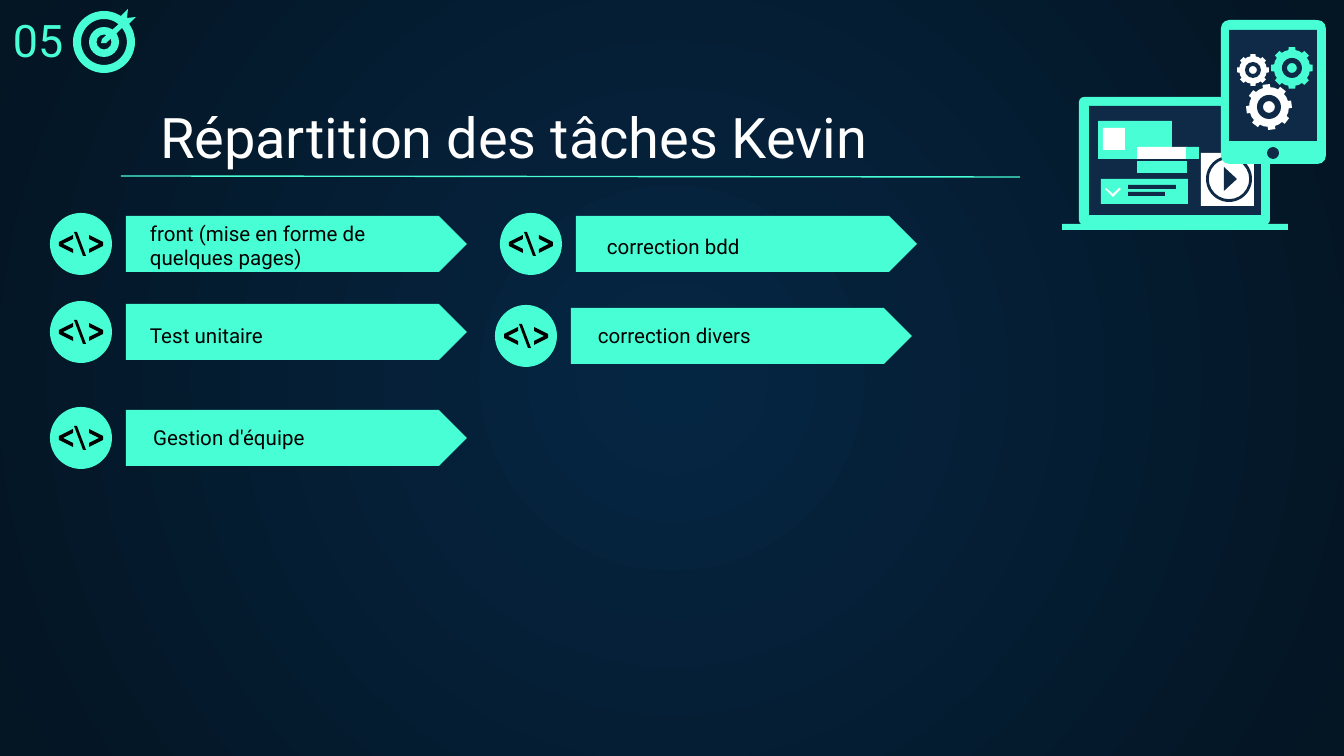
from math import cos, radians, sin

from lxml import etree
from pptx import Presentation
from pptx.dml.color import RGBColor
from pptx.enum.shapes import MSO_CONNECTOR, MSO_SHAPE
from pptx.enum.text import MSO_ANCHOR, MSO_AUTO_SIZE, PP_ALIGN
from pptx.oxml.ns import qn
from pptx.util import Pt

PX = 9144000 / 1344
RECTANGLE, ROUNDED = MSO_SHAPE.RECTANGLE, MSO_SHAPE.ROUNDED_RECTANGLE
ELLIPSE, DONUT, PENTAGON = MSO_SHAPE.OVAL, MSO_SHAPE.DONUT, MSO_SHAPE.PENTAGON
STRAIGHT = MSO_CONNECTOR.STRAIGHT
TOP, BOTTOM = MSO_ANCHOR.TOP, MSO_ANCHOR.BOTTOM
LEFT, NO_FIT = PP_ALIGN.LEFT, MSO_AUTO_SIZE.NONE

COLOURS = {
    "mint": "48FFD5",
    "navy": "0E2A47",
    "white": "FFFFFF",
    "black": "000000",
    "glow": "052643",
    "night": "041523",
}

TASKS = [
    ((126, 216), (137, 227, 305, 56), "front (mise en forme de quelques pages)"),
    ((126, 304), (137, 305, 305, 56), "Test unitaire"),
    ((126, 410), (140, 407, 370, 56), "Gestion d'équipe"),
    ((576, 216), (594, 216, 305, 56), "correction bdd"),
    ((571, 308), (585, 305, 305, 56), "correction divers"),
]

LAPTOP = [
    (ROUNDED, (17, 77, 191, 128), "mint", 0.04),
    (RECTANGLE, (27, 86, 172, 109), "navy", None),
    (RECTANGLE, (0, 204, 226, 6), "mint", None),
    (RECTANGLE, (36, 101, 74, 38), "mint", None),
    (RECTANGLE, (41, 108, 22, 22), "white", None),
    (RECTANGLE, (39, 159, 87, 25), "mint", None),
    (RECTANGLE, (66, 165, 48, 4), "navy", None),
    (RECTANGLE, (66, 172, 37, 4), "navy", None),
    (RECTANGLE, (75, 141, 50, 12), "mint", None),
    (RECTANGLE, (75, 127, 50, 12), "white", None),
    (RECTANGLE, (124, 127, 13, 12), "mint", None),
    (RECTANGLE, (139, 133, 53, 53), "white", None),
    (DONUT, (144, 136, 46, 46), "navy", 0.06),
]
TABLET = [
    (ROUNDED, (159, 0, 105, 144), "mint", 0.08),
    (RECTANGLE, (167, 10, 88, 111), "navy", None),
    (ELLIPSE, (205, 127, 12, 12), "navy", None),
]
GEARS = [(230, 48, 21, "mint", 0), (191, 50, 16, "white", 0), (207, 87, 23, "white", -7)]
TICK = [(43, 169), (44, 168), (51, 174), (57, 168), (59, 169), (51, 177)]
PLAY = [(162, 147), (175, 159), (162, 171)]
DART = [(55, 0), (48, 7), (47, 14), (39, 21), (29, 30), (28, 34), (33, 34),
        (43, 25), (49, 19), (56, 15), (63, 8), (54, 9)]
CHEVRON = [(-8, 9), (-22, 2), (-22, -2), (-8, -9), (-8, -5), (-18, 0), (-8, 5)]
SLASH = [(2, 12), (-7, -12), (-4, -12), (5, 12)]


def colour(name):
    """Return the named palette colour."""
    return RGBColor.from_string(COLOURS[name])


def emu(*lengths):
    """Convert px lengths to EMU."""
    return [round(length * PX) for length in lengths]


def paint(shape, fill):
    """Give a shape a flat fill with no line or shadow."""
    shape.shadow.inherit = False
    shape.fill.solid()
    shape.fill.fore_color.rgb = colour(fill)
    shape.line.fill.background()


def add_preset(page, kind, box, fill, adjustment=None):
    """Add a flat preset shape in a px box."""
    shape = page.shapes.add_shape(kind, *emu(*box))
    if adjustment is not None:
        shape.adjustments[0] = adjustment
    paint(shape, fill)


def add_outline(page, origin, points, fill):
    """Add a closed polygon whose points are relative to an origin."""
    left, top = origin
    corners = [emu(left + x, top + y) for x, y in points]
    builder = page.shapes.build_freeform(*corners[0])
    builder.add_line_segments(corners[1:], close=True)
    paint(builder.convert_to_shape(), fill)


def write(shape, box, text, size, ink, anchor=BOTTOM):
    """Place a text shape and write one formatted line of text in it."""
    place = dict(zip(("left", "top", "width", "height"), emu(*box)))
    for name, value in place.items():
        setattr(shape, name, value)
    frame = shape.text_frame
    inset = emu(13)[0]
    layout = {"word_wrap": True, "auto_size": NO_FIT, "vertical_anchor": anchor}
    layout.update({f"margin_{side}": inset for side in ("left", "top", "right", "bottom")})
    for name, value in layout.items():
        setattr(frame, name, value)
    para = frame.paragraphs[0]
    para.alignment = LEFT
    span = para.add_run()
    span.text = text
    for name, value in {"name": "Roboto", "size": Pt(size), "bold": False}.items():
        setattr(span.font, name, value)
    span.font.color.rgb = colour(ink)


def add_label(page, box, text, size, ink, anchor=BOTTOM):
    """Add a text box in a px box."""
    write(page.shapes.add_textbox(*emu(*box)), box, text, size, ink, anchor)


def add_background(page):
    """Fill the page with a radial gradient."""
    fill = page.background.fill
    fill.gradient()
    for stop, name in zip(fill.gradient_stops, ("glow", "night")):
        stop.color.rgb = colour(name)
    linear = page.element.find(".//" + qn("a:lin"))
    gradient = linear.getparent()
    gradient.remove(linear)
    radial = etree.SubElement(gradient, qn("a:path"), path="circle")
    etree.SubElement(radial, qn("a:fillToRect"), l="50000", t="50000", r="50000", b="50000")


def add_heading(page):
    """Write the title and draw its rule."""
    write(page.shapes.title, (147, 94, 1152, 89), "Répartition des tâches Kevin", 30, "white")
    rule = page.shapes.add_connector(STRAIGHT, *emu(121, 176, 1020, 177))
    rule.line.color.rgb = colour("mint")
    rule.line.width = Pt(0.75)
    etree.SubElement(rule.element.spPr, qn("a:effectLst"))


def add_section_mark(page, left, top):
    """Write the section number and draw a target with a dart."""
    add_label(page, (0, 0, 441, 82), "05", 24, "mint", TOP)
    add_preset(page, DONUT, (left, top + 2, 62, 62), "mint", 0.13)
    add_preset(page, DONUT, (left + 16, top + 18, 30, 30), "mint", 0.25)
    add_outline(page, (left, top), DART, "mint")


def add_task(page, position, label_box, text):
    """Draw one task: arrow, label and code badge."""
    left, top = position
    add_preset(page, PENTAGON, (left, top, 341, 56), "mint", 0.5)
    add_label(page, label_box, text, 11, "black")
    add_preset(page, ELLIPSE, (left - 76, top - 3, 62, 62), "mint")
    centre = (left - 45, top + 28)
    mirrored = [(-x, y) for x, y in CHEVRON]
    for points in (CHEVRON, SLASH, mirrored):
        add_outline(page, centre, points, "black")


def add_gear(page, centre, radius, fill, tilt):
    """Draw an eight-toothed gear with a ring at its hub."""
    x, y = centre
    profile = [(-11, 0.86), (-9, 1), (9, 1), (11, 0.86), (22, 0.87)]
    points = []
    for tooth in range(8):
        for offset, reach in profile:
            angle = radians(45 * tooth + offset + tilt)
            points.append((radius * reach * cos(angle), radius * reach * sin(angle)))
    add_outline(page, centre, points, fill)
    hub = round(radius / 2)
    add_preset(page, DONUT, (x - hub, y - hub, 2 * hub, 2 * hub), "navy", 0.25)


def add_devices(page, left, top):
    """Draw a laptop with a tablet in front of it."""
    def add_parts(parts):
        """Add preset parts relative to the drawing's corner."""
        for kind, (x, y, width, height), fill, adjustment in parts:
            add_preset(page, kind, (left + x, top + y, width, height), fill, adjustment)

    add_parts(LAPTOP)
    add_outline(page, (left, top), TICK, "white")
    add_outline(page, (left, top), PLAY, "navy")
    add_parts(TABLET)
    for x, y, radius, fill, tilt in GEARS:
        add_gear(page, (left + x, top + y), radius, fill, tilt)


def main():
    """Build and save the deck."""
    deck = Presentation()
    deck.slide_width, deck.slide_height = emu(1344, 756)
    page = deck.slides.add_slide(deck.slide_layouts[5])
    add_background(page)
    add_heading(page)
    add_devices(page, 1062, 20)
    add_section_mark(page, 73, 9)
    for task in TASKS:
        add_task(page, *task)
    deck.save("out.pptx")


if __name__ == "__main__":
    main()
